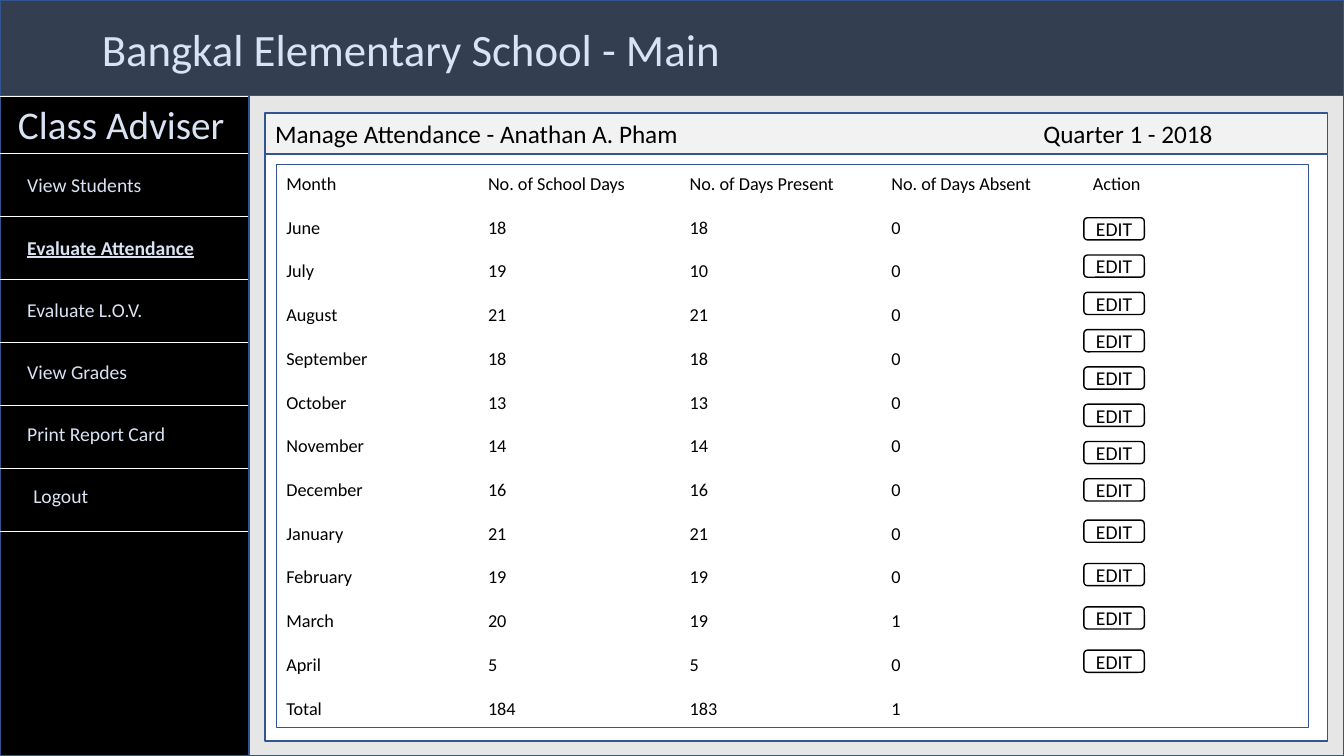
from dataclasses import dataclass

from lxml.etree import SubElement
from pptx import Presentation
from pptx.dml.color import RGBColor as Rgb
from pptx.enum.shapes import MSO_CONNECTOR as Connector, MSO_SHAPE as Preset
from pptx.enum.text import MSO_ANCHOR as Anchor, MSO_AUTO_SIZE as AutoSize, PP_ALIGN as Align
from pptx.oxml.ns import qn
from pptx.util import Inches, Pt


@dataclass(frozen=True)
class Theme:
    font: str = "Calibri"
    header: str = "333F50"
    sidebar: str = "000000"
    content: str = "E7E6E6"
    bar: str = "F2F2F2"
    white: str = "FFFFFF"
    ink: str = "000000"
    pale: str = "DAE3F3"
    border: str = "325491"
    title_size: int = 32
    role_size: int = 28
    bar_size: int = 18
    menu_size: int = 14
    table_size: int = 13


THEME = Theme()
NO_GRID_STYLE = "{2D5ABB26-0587-4C30-8999-92F81FD0307C}"

MENU = ["View Students", "Evaluate Attendance", "Evaluate L.O.V.",
        "View Grades", "Print Report Card", "Logout"]
ACTIVE_ITEM = "Evaluate Attendance"
ATTENDANCE = [
    ("Month", "No. of School Days", "No. of Days Present", "No. of Days Absent", "Action"),
    ("June", 18, 18, 0), ("July", 19, 10, 0), ("August", 21, 21, 0),
    ("September", 18, 18, 0), ("October", 13, 13, 0), ("November", 14, 14, 0),
    ("December", 16, 16, 0), ("January", 21, 21, 0), ("February", 19, 19, 0),
    ("March", 20, 19, 1), ("April", 5, 5, 0), ("Total", 184, 183, 1),
]


def set_values(target, values):
    for key, value in values.items():
        setattr(target, key, value)


def place(shape, left, top, width, height):
    set_values(shape, {"left": Inches(left), "top": Inches(top),
                       "width": Inches(width), "height": Inches(height)})


def style_text(paragraph, size, color, **extra):
    set_values(paragraph.font, {"name": THEME.font, "size": Pt(size), **extra})
    paragraph.font.color.rgb = Rgb.from_string(color)


def add_panel(slide, box, fill, line=THEME.border, preset=Preset.RECTANGLE):
    panel = slide.shapes.add_shape(preset, *map(Inches, box))
    panel.shadow.inherit = False
    panel.fill.solid()
    panel.fill.fore_color.rgb = Rgb.from_string(fill)
    panel.line.color.rgb = Rgb.from_string(line)
    panel.line.width = Pt(1)
    return panel


def add_divider(slide, left, top, width):
    divider = slide.shapes.add_connector(
        Connector.STRAIGHT, Inches(left), Inches(top), Inches(left + width), Inches(top))
    divider.line.color.rgb = Rgb.from_string(THEME.white)
    divider.line.width = Pt(0.5)
    SubElement(divider.element.spPr, qn("a:effectLst"))


def bring_to_front(shape):
    shape.element.getparent().append(shape.element)


def build_header(slide, left, top, width, height):
    add_panel(slide, (left, top, width, height), THEME.header)
    title = slide.shapes.title
    bring_to_front(title)
    place(title, left + 0.91, top + 0.16, 6.74, 0.64)
    set_values(title.text_frame, {"text": "Bangkal Elementary School - Main",
                                  "auto_size": AutoSize.NONE,
                                  "vertical_anchor": Anchor.MIDDLE})
    heading = title.text_frame.paragraphs[0]
    heading.alignment = Align.LEFT
    style_text(heading, THEME.title_size, THEME.pale)


def build_sidebar(slide, left, top, width, height):
    add_panel(slide, (left, top, width, height), THEME.sidebar)

    # Role of the signed-in user
    role = slide.shapes.add_textbox(Inches(left + 0.08), Inches(top), Inches(2.38), Inches(0.57))
    set_values(role.text_frame, {"word_wrap": True, "text": "Class Adviser"})
    style_text(role.text_frame.paragraphs[0], THEME.role_size, THEME.pale)

    # Menu list
    menu = slide.placeholders[1]
    bring_to_front(menu)
    place(menu, left + 0.17, top + 0.72, 2.2, 3.6)
    set_values(menu.text_frame, {"text": "\n".join(MENU), "auto_size": AutoSize.NONE,
                                 "vertical_anchor": Anchor.TOP})
    for index, item in enumerate(menu.text_frame.paragraphs):
        properties = item._p.get_or_add_pPr()
        properties.set("marL", str(Inches(0.06 if item.text == "Logout" else 0)))
        properties.set("indent", "0")
        SubElement(properties, qn("a:buNone"))
        set_values(item, {"space_before": Pt(27.5 if index else 0), "alignment": Align.LEFT})
        active = item.text == ACTIVE_ITEM
        style_text(item, THEME.menu_size, THEME.pale, bold=active, underline=active)

    # Dividers above the role and below the role and each menu item
    add_divider(slide, left, top + 0.01, 2.46)
    for index in range(len(MENU) + 1):
        add_divider(slide, left, top + 0.57 + 0.625 * index, 2.46)


def build_heading_bar(slide, left, top, width, height):
    bar = add_panel(slide, (left, top, width, height), THEME.bar)
    set_values(bar.text_frame, {"text": "Manage Attendance - Anathan A. Pham\tQuarter 1 - 2018",
                                "word_wrap": True, "vertical_anchor": Anchor.MIDDLE})
    heading = bar.text_frame.paragraphs[0]
    heading.alignment = Align.LEFT
    tabs = SubElement(heading._p.get_or_add_pPr(), qn("a:tabLst"))
    SubElement(tabs, qn("a:tab"), pos=str(Inches(7.62)), algn="l")
    style_text(heading, THEME.bar_size, THEME.ink)


def build_attendance(slide, left, top, width, height):
    add_panel(slide, (left, top, width, height), THEME.white)

    # Attendance table
    row_height, column_width = 0.434, 2
    rows, columns = len(ATTENDANCE), len(ATTENDANCE[0])
    frame = slide.shapes.add_table(rows, columns, Inches(left), Inches(top - 0.02),
                                   Inches(width), Inches(row_height * rows))
    table = frame.table
    set_values(table, {"first_row": False, "horz_banding": False})
    table._tbl.tblPr.find(qn("a:tableStyleId")).text = NO_GRID_STYLE
    for index, column in enumerate(table.columns):
        last = index == columns - 1
        column.width = Inches(width - column_width * index if last else column_width)
    for row, record in zip(table.rows, ATTENDANCE):
        row.height = Inches(row_height)
        for index, cell in enumerate(row.cells):
            cell.fill.background()
            cell.vertical_anchor = Anchor.MIDDLE
            cell.text = str(record[index]) if index < len(record) else ""
            style_text(cell.text_frame.paragraphs[0], THEME.table_size, THEME.ink)

    # Edit buttons: eight close together, then four further apart
    offsets = [0.53 + 0.37 * i for i in range(8)] + [3.53 + 0.43 * i for i in range(4)]
    for offset in offsets:
        add_edit_button(slide, left + 8.01, top + offset, 0.6, 0.22)


def add_edit_button(slide, *box):
    button = add_panel(slide, box, THEME.white, THEME.ink, Preset.ROUNDED_RECTANGLE)
    set_values(button.text_frame, {
        "text": "EDIT", "word_wrap": False, "vertical_anchor": Anchor.MIDDLE,
        "margin_left": 0, "margin_right": 0, "margin_top": 0, "margin_bottom": 0})
    label = button.text_frame.paragraphs[0]
    label.alignment = Align.CENTER
    style_text(label, THEME.menu_size, THEME.ink)


def build_content(slide, left, top, width, height):
    add_panel(slide, (left, top, width, height), THEME.content)
    inner_left, inner_width = left + 0.16, 10.54
    build_heading_bar(slide, inner_left, top + 0.17, inner_width, 0.41)
    add_panel(slide, (inner_left, top + 0.58, inner_width, 5.82), THEME.white)
    build_attendance(slide, inner_left + 0.11, top + 0.68, 10.24, 5.59)


def main():
    deck = Presentation()
    set_values(deck, {"slide_width": Inches(13.33), "slide_height": Inches(7.5)})
    slide = deck.slides.add_slide(deck.slide_layouts[1])
    build_header(slide, 0, 0, 13.33, 7.5)
    build_sidebar(slide, 0, 0.95, 2.8, 6.55)
    build_content(slide, 2.47, 0.95, 10.86, 6.55)
    deck.save("out.pptx")


if __name__ == "__main__":
    main()
